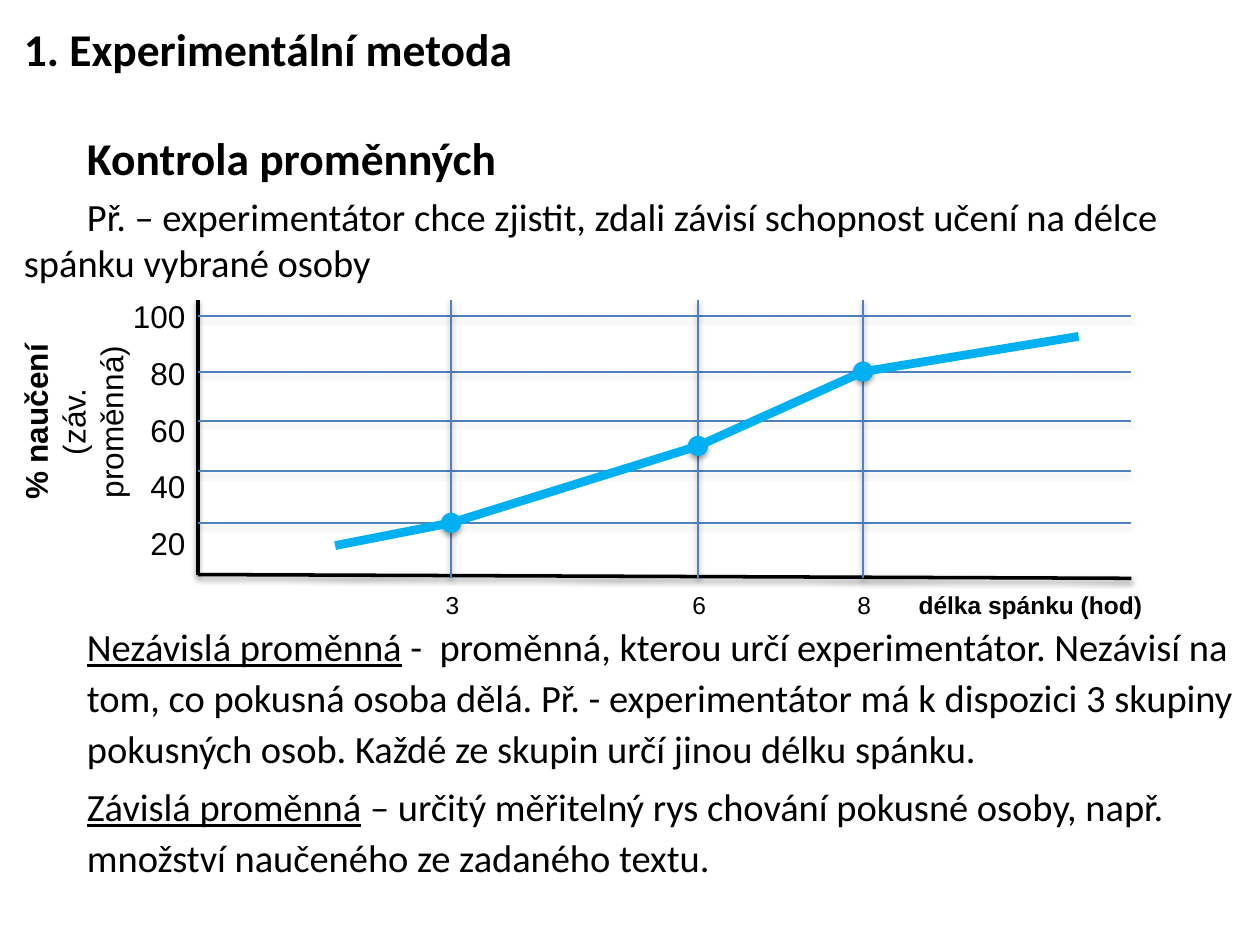
from lxml import etree
from pptx import Presentation
from pptx.dml.color import RGBColor
from pptx.enum.shapes import MSO_CONNECTOR, MSO_SHAPE
from pptx.enum.text import PP_ALIGN
from pptx.oxml.ns import qn
from pptx.util import Inches, Pt

BLACK = RGBColor(0x00, 0x00, 0x00)
GRID_BLUE = RGBColor(0x4F, 0x81, 0xBD)
CURVE_BLUE = RGBColor(0x00, 0xB0, 0xF0)
LINE, OVAL = MSO_CONNECTOR.STRAIGHT, MSO_SHAPE.OVAL
LEFT, CENTER, RIGHT = PP_ALIGN.LEFT, PP_ALIGN.CENTER, PP_ALIGN.RIGHT

AXIS_X, AXIS_TOP, AXIS_BOTTOM, AXIS_END = 1.57, 2.38, 4.56, 8.98
GRID_ROWS = (4.15, 3.74, 3.34, 2.95, 2.51)
HOURS = (("3", 3.58), ("6", 5.54), ("8", 6.85))
CURVE = ((2.66, 4.33), (3.58, 4.15), (5.54, 3.54), (6.85, 2.95), (8.56, 2.67))
DOT = 0.16

DEFINITIONS = (
    ("Nezávislá proměnná",
     " -  proměnná, kterou určí experimentátor. Nezávisí na tom, co pokusná osoba "
     "dělá. Př. - experimentátor má k dispozici 3 skupiny pokusných osob. "
     "Každé ze skupin určí jinou délku spánku."),
    ("Závislá proměnná",
     " – určitý měřitelný rys chování pokusné osoby, např. množství naučeného "
     "ze zadaného textu."),
)


def set_effects(s, opacity=0):
    """Give a shape a soft shadow below it, or none at zero opacity."""
    effects = etree.SubElement(s._element.spPr, qn("a:effectLst"))
    if opacity:
        shadow = etree.SubElement(effects, qn("a:outerShdw"), blurRad=str(Pt(3.1)),
                                  dist=str(Pt(1.6)), dir="5400000", rotWithShape="0")
        color = etree.SubElement(shadow, qn("a:srgbClr"), val=str(BLACK))
        etree.SubElement(color, qn("a:alpha"), val=str(opacity * 1000))


def add_line(slide, start, end, color, width, opacity=38):
    """Draw a straight line between two points."""
    s = slide.shapes.add_connector(LINE, *map(Inches, start + end))
    s.line.color.rgb = color
    s.line.width = Pt(width)
    set_effects(s, opacity)


def add_dot(slide, x, y):
    """Draw a data point centred on a position."""
    s = slide.shapes.add_shape(OVAL, Inches(x - DOT / 2), Inches(y - DOT / 2),
                               Inches(DOT), Inches(DOT))
    s.fill.solid()
    s.fill.fore_color.rgb = CURVE_BLUE
    s.line.fill.background()
    set_effects(s, 35)


def add_box(slide, left, top, width, height, inset=0.0):
    """Add a wrapping text box and return its text frame."""
    box = slide.shapes.add_textbox(*map(Inches, (left, top, width, height)))
    tf = box.text_frame
    tf.word_wrap = True
    tf.margin_left = tf.margin_right = Inches(inset)
    tf.margin_top = tf.margin_bottom = Inches(inset / 2)
    return tf


def add_run(p, text, size, font="Calibri", bold=False, underline=False):
    """Add a formatted run to a paragraph."""
    r = p.add_run()
    r.text = text
    r.font.name = font
    r.font.size = Pt(size)
    r.font.bold = bold
    r.font.underline = underline
    r.font.color.rgb = BLACK


def add_paragraph(tf, first, before=0, spacing=1.0, align=LEFT):
    """Return the next paragraph of a text frame with its spacing set."""
    p = tf.paragraphs[0] if first else tf.add_paragraph()
    p.space_before = Pt(before)
    p.line_spacing = spacing
    p.alignment = align
    return p


def add_introduction(slide):
    """Write the heading, the subheading and the example."""
    tf = add_box(slide, 0.19, 0.17, 9.65, 2.15)
    add_run(add_paragraph(tf, True), "1. Experimentální metoda", 26, bold=True)
    subheading = add_paragraph(tf, False, 31)
    add_run(subheading, "Kontrola proměnných", 26, bold=True)
    example = add_paragraph(tf, False, 4.4)
    add_run(example, "Př. – experimentátor chce zjistit, zdali závisí schopnost "
                     "učení na délce spánku vybrané osoby", 22)
    for p in (subheading, example):
        p._p.get_or_add_pPr().set("indent", str(Inches(0.5)))


def add_definitions(slide):
    """Write the two definitions below the graph."""
    tf = add_box(slide, 0.69, 4.91, 9.15, 2.2)
    for i, (term, meaning) in enumerate(DEFINITIONS):
        p = add_paragraph(tf, i == 0, 4.4 * i, 1.1)
        add_run(p, term, 22, underline=True)
        add_run(p, meaning, 22)


def add_axis_labels(slide):
    """Write the values and titles of both axes."""
    for hour, x in HOURS:
        p = add_paragraph(add_box(slide, x - 0.19, 4.68, 0.4, 0.24), True, align=CENTER)
        add_run(p, hour, 14, "Arial")
    p = add_paragraph(add_box(slide, 7.29, 4.68, 2.05, 0.24), True)
    add_run(p, "délka spánku (hod)", 14, "Arial", bold=True)

    tf = add_box(slide, 0.48, 2.16, 1.09, 2.37, 0.1)
    for i, percent in enumerate(range(100, 0, -20)):
        add_run(add_paragraph(tf, i == 0, spacing=1.5, align=RIGHT), str(percent), 18, "Arial")

    tf = add_box(slide, 0.08, 2.37, 0.81, 1.96, 0.1)
    tf._txBody.bodyPr.set("vert", "vert270")
    add_run(add_paragraph(tf, True, align=CENTER), "% naučení", 18, "Arial", bold=True)
    add_run(add_paragraph(tf, False, align=CENTER), "(záv. proměnná)", 18, "Arial")


def add_graph(slide):
    """Draw the axes, the grid, the data points and the learning curve."""
    origin = (AXIS_X, AXIS_BOTTOM)
    add_line(slide, origin, (AXIS_END, 4.59), BLACK, 2)
    add_line(slide, origin, (AXIS_X, AXIS_TOP), BLACK, 2)
    for y in GRID_ROWS:
        add_line(slide, (AXIS_X, y), (AXIS_END, y), GRID_BLUE, 1)
    for _, x in HOURS:
        add_line(slide, (x, 4.59), (x, AXIS_TOP), GRID_BLUE, 1)
    add_axis_labels(slide)
    for x, y in CURVE[1:-1]:
        add_dot(slide, x, y)
    for start, end in zip(CURVE, CURVE[1:]):
        add_line(slide, start, end, CURVE_BLUE, 5, 0)


def main():
    """Build the slide and save it."""
    prs = Presentation()
    prs.slide_width, prs.slide_height = Inches(10), Inches(7.5)
    slide = prs.slides.add_slide(prs.slide_layouts[6])
    add_introduction(slide)
    add_definitions(slide)
    add_graph(slide)
    prs.save("out.pptx")


if __name__ == "__main__":
    main()
